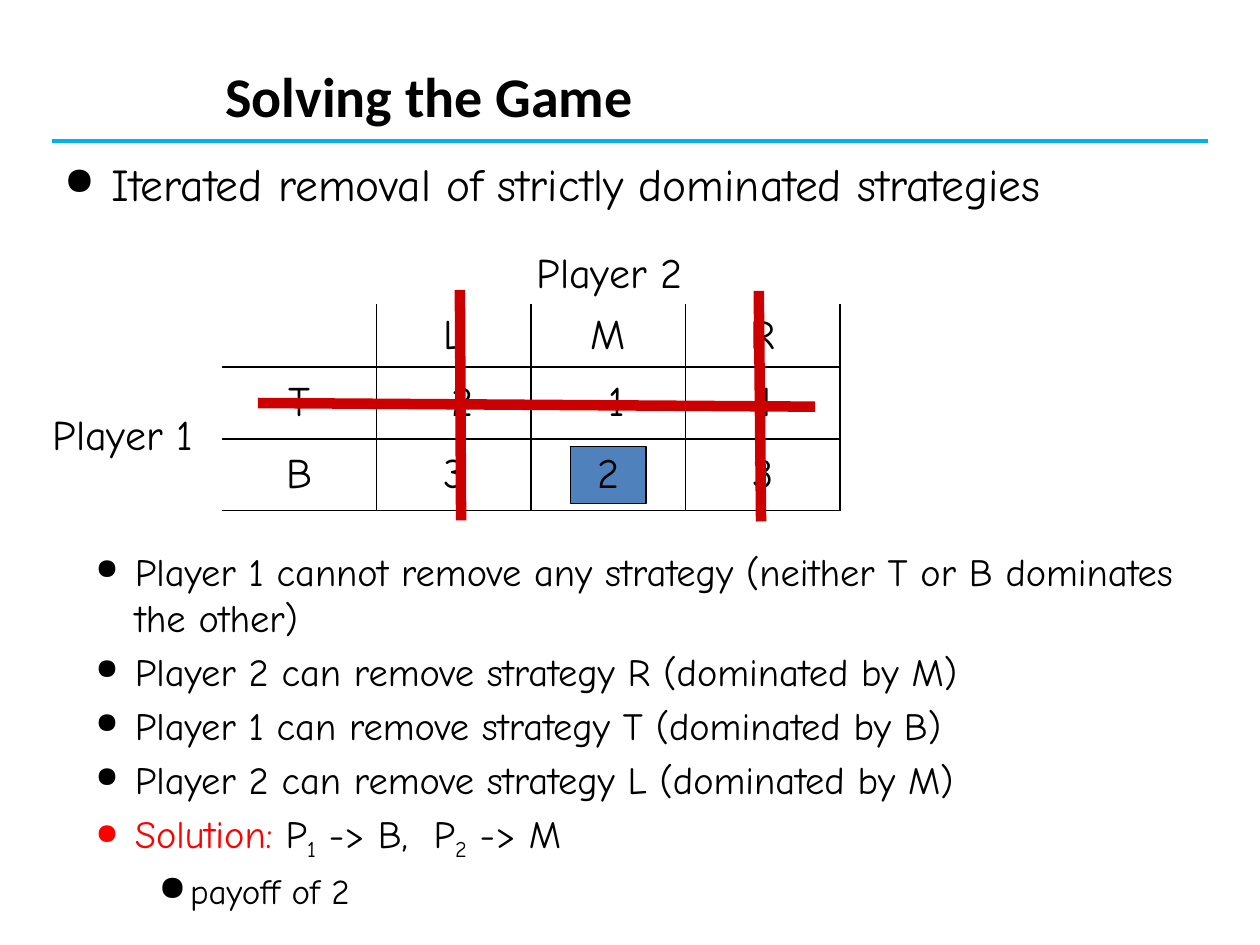
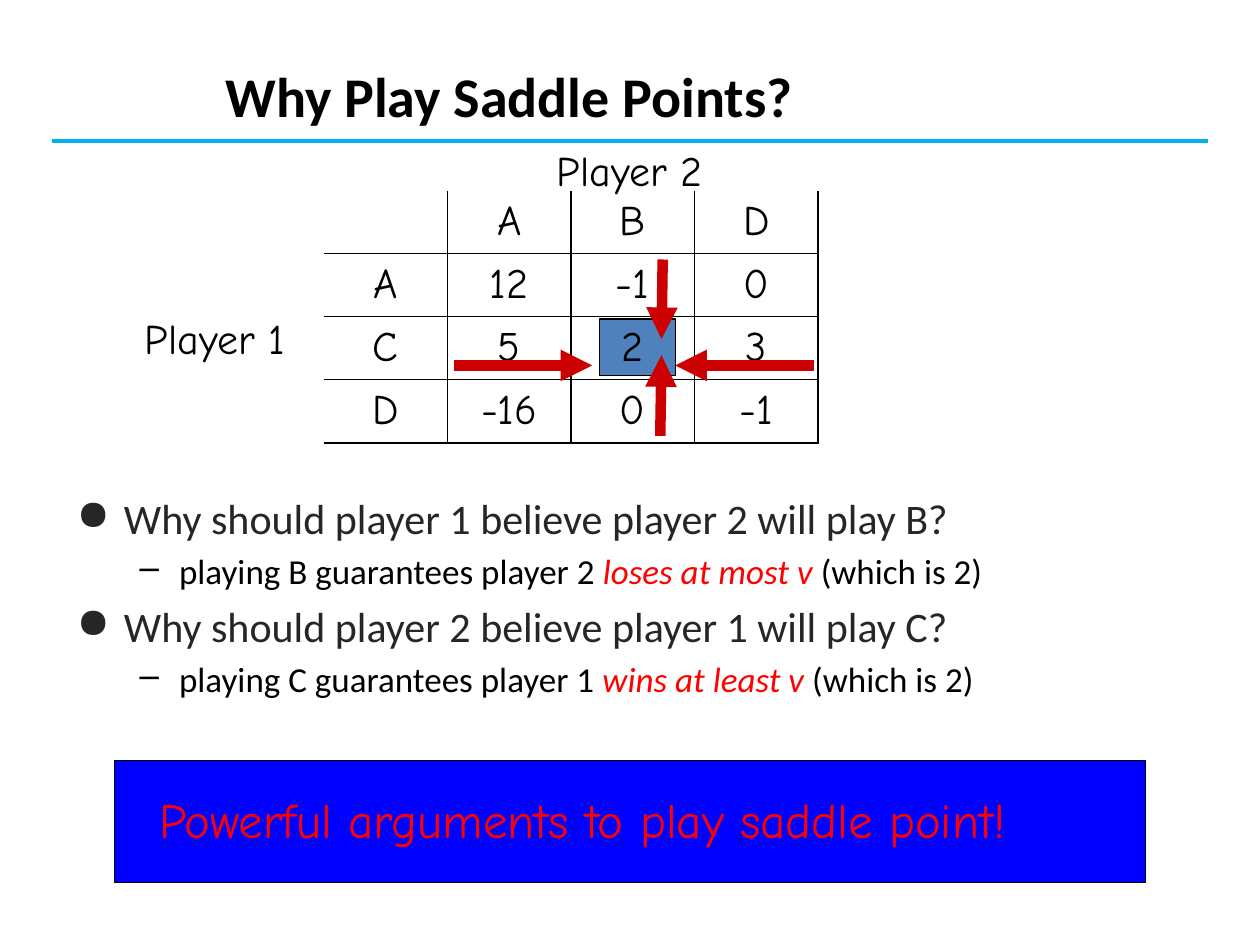
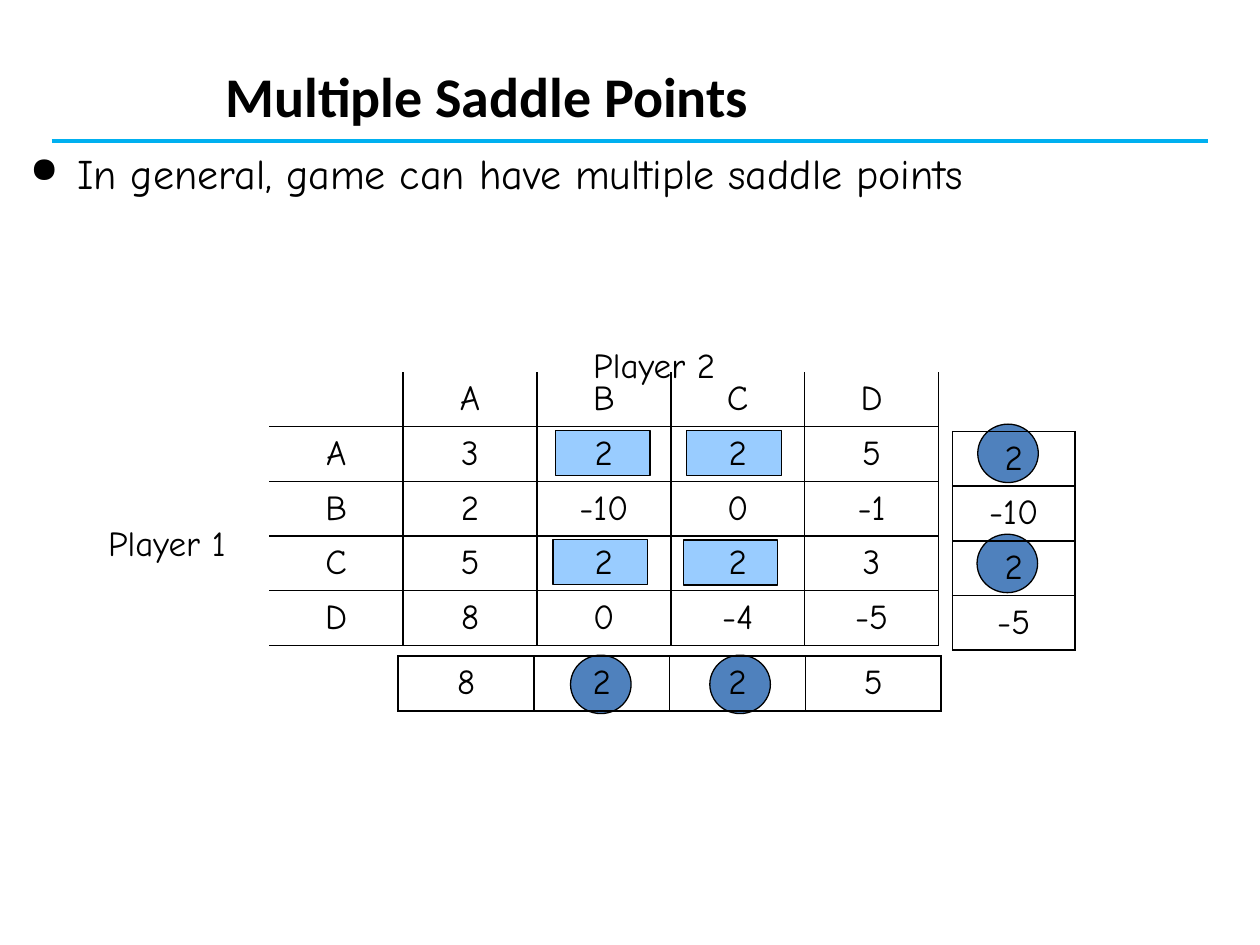
import pptx
import pptx.dml.color
import pptx.enum.dml
import pptx.enum.shapes
import pptx.enum.text
import pptx.oxml
import pptx.oxml.ns
import pptx.util

Pt = pptx.util.Pt
RGBColor = pptx.dml.color.RGBColor
SHAPES = pptx.enum.shapes.MSO_SHAPE
qn = pptx.oxml.ns.qn

# Shared look
BLACK = RGBColor(0x00, 0x00, 0x00)
CHARCOAL = RGBColor(0x26, 0x26, 0x26)
RED = RGBColor(0xFF, 0x00, 0x00)
STRIKE_RED = RGBColor(0xCC, 0x00, 0x00)
RULE_BLUE = RGBColor(0x00, 0xB0, 0xF0)
STEEL_BLUE = RGBColor(0x4F, 0x81, 0xBD)
PALE_BLUE = RGBColor(0x99, 0xCC, 0xFF)
BANNER_BLUE = RGBColor(0x00, 0x00, 0xFF)
TITLE_FONT = "Calibri"
HAND_FONT = "Comic Neue"

# Left margin and first-line indent of each list level
INDENTS = [(27, -27), (58.5, -22.5), (90, -18)]


def add_element(parent, tag, **attributes):
    element = parent.makeelement(qn(tag), attributes)
    parent.append(element)
    return element


def add_run(paragraph, text, size, font=HAND_FONT, color=BLACK,
            bold=False, italic=False, subscript=False):
    run = paragraph.add_run()
    run.text = text
    run.font.size = Pt(size)
    run.font.name = font
    run.font.bold = bold
    run.font.italic = italic
    run.font.color.rgb = color
    if subscript:
        run._r.get_or_add_rPr().set("baseline", "-25000")


def add_text_box(shapes, left, top, width, height, wrap=True):
    text_frame = shapes.add_textbox(Pt(left), Pt(top), Pt(width), Pt(height)).text_frame
    text_frame.word_wrap = wrap
    if not wrap:
        text_frame.auto_size = pptx.enum.text.MSO_AUTO_SIZE.SHAPE_TO_FIT_TEXT
    return text_frame


def add_item(text_frame, runs, size, level=0, bullet="●", bullet_percent=100,
             font=HAND_FONT, color=BLACK):
    """Add a list item; each run is a text or a (text, format) pair."""
    paragraph = text_frame.paragraphs[0]
    if paragraph.runs:
        paragraph = text_frame.add_paragraph()
        paragraph.space_before = Pt(size * 0.2)
    paragraph.level = level
    margin, indent = INDENTS[level]
    properties = paragraph._p.get_or_add_pPr()
    properties.set("marL", str(Pt(margin)))
    properties.set("indent", str(Pt(indent)))
    if bullet:
        add_element(properties, "a:buSzPct", val=str(bullet_percent * 1000))
        add_element(properties, "a:buChar", char=bullet)
    else:
        add_element(properties, "a:buNone")
    for run in runs:
        text, changes = (run, {}) if isinstance(run, str) else run
        add_run(paragraph, text, size, **{"font": font, "color": color, **changes})


def add_label(slide, text, left, top, width, height, size=24):
    text_frame = add_text_box(slide.shapes, left, top, width, height, wrap=False)
    add_run(text_frame.paragraphs[0], text, size)


def add_line(slide, start, end, color=STRIKE_RED, width=6, arrow=False):
    connector = slide.shapes.add_connector(
        pptx.enum.shapes.MSO_CONNECTOR.STRAIGHT, *map(Pt, start + end))
    connector.line.color.rgb = color
    connector.line.width = Pt(width)
    if arrow:
        add_element(connector.line._get_or_add_ln(), "a:tailEnd", type="triangle")
    add_element(connector._element.spPr, "a:effectLst")


def add_block(shapes, kind, left, top, width, height, fill):
    shape = shapes.add_shape(kind, Pt(left), Pt(top), Pt(width), Pt(height))
    shape.shadow.inherit = False
    shape.fill.solid()
    shape.fill.fore_color.rgb = fill
    shape.line.color.rgb = BLACK
    shape.line.width = Pt(0.75)


def set_borders(cell, hidden_sides):
    properties = cell._tc.get_or_add_tcPr()
    for position, side in enumerate("LRTB"):
        line = properties.makeelement(qn(f"a:ln{side}"), {"w": str(Pt(1))})
        properties.insert(position, line)
        if side in hidden_sides:
            add_element(line, "a:noFill")
        else:
            fill = add_element(line, "a:solidFill")
            add_element(fill, "a:srgbClr", val=str(BLACK))


def add_grid(slide, rows, left, top, column_width, row_heights, size, headed=True):
    """Add a payoff table; a headed one is open above and to the left."""
    column_count = len(rows[0])
    table = slide.shapes.add_table(
        len(rows), column_count, Pt(left), Pt(top),
        Pt(column_width * column_count), Pt(sum(row_heights))).table
    table.first_row = table.horz_banding = False
    for column in table.columns:
        column.width = Pt(column_width)
    for row_index, (values, height) in enumerate(zip(rows, row_heights)):
        table.rows[row_index].height = Pt(height)
        for column_index, value in enumerate(values):
            cell = table.cell(row_index, column_index)
            cell.fill.background()
            cell.vertical_anchor = pptx.enum.text.MSO_ANCHOR.MIDDLE
            hidden = ("T" if row_index == 0 else "") + ("L" if column_index == 0 else "")
            set_borders(cell, hidden if headed else "")
            paragraph = cell.text_frame.paragraphs[0]
            paragraph.alignment = pptx.enum.text.PP_ALIGN.CENTER
            if value:
                add_run(paragraph, value, size)


def new_slide(presentation, title):
    slide = presentation.slides.add_slide(presentation.slide_layouts[6])
    add_line(slide, (29.5, 80.6), (690.5, 80.6), RULE_BLUE, 2.25)
    text_frame = add_text_box(slide.shapes, 121.7, 31.7, 561.6, 42.5)
    add_run(text_frame.paragraphs[0], title, 32, font=TITLE_FONT, bold=True)
    return slide


def build_solving(presentation):
    slide = new_slide(presentation, "Solving the Game")

    # Payoff table with the solution marked
    add_block(slide.shapes, SHAPES.RECTANGLE, 326, 255.3, 43.2, 32.4, STEEL_BLUE)
    add_grid(slide, [["", "L", "M", "R"], ["T", "-2", "-1", "4"], ["B", "3", "2", "3"]],
             126.8, 173.7, 88.3, [34.8, 41, 41], 24)
    add_label(slide, "Player 1", 23, 229.7, 100.8, 36)
    add_label(slide, "Player 2", 299.5, 137.5, 104.4, 36)

    # Reasoning
    heading = add_text_box(slide.shapes, 29.5, 85.7, 677.5, 70.6)
    add_item(heading, ["Iterated removal of strictly dominated strategies"], 26,
             bullet_percent=85)
    steps = add_text_box(slide.shapes, 11.5, 309.6, 677.5, 214)
    solution = [("Solution:", {"color": RED}), " P", ("1", {"subscript": True}),
                " -> B,  P", ("2", {"subscript": True}), " -> M"]
    for runs in (
            ["Player 1 cannot remove any strategy (neither T or B dominates the other)"],
            ["Player 2 can remove strategy R (dominated by M)"],
            ["Player 1 can remove strategy T (dominated by B)"],
            ["Player 2 can remove strategy L (dominated by M)"],
            solution):
        add_item(steps, runs, 22, level=1, bullet_percent=75)
    add_item(steps, ["payoff of 2"], 20, level=2)

    # Removed strategies R, T and L
    add_line(slide, (434.9, 298), (433.6, 166.2))
    add_line(slide, (465.8, 232.4), (147.4, 230.3))
    add_line(slide, (263.5, 297.4), (262.8, 165.6))


def build_saddle_reasons(presentation):
    slide = new_slide(presentation, "Why Play Saddle Points?")

    # Questions and answers
    questions = add_text_box(slide.shapes, 36.7, 277.9, 644.4, 150)
    for question, answer, outcome in (
            ("Why should player 1 believe player 2 will play B?",
             "playing B guarantees player 2 ", "loses at most v"),
            ("Why should player 2 believe player 1 will play C?",
             "playing C guarantees player 1 ", "wins at least v")):
        add_item(questions, [question], 24, font=TITLE_FONT, color=CHARCOAL)
        add_item(questions,
                 [answer, (outcome, {"color": RED, "italic": True}), " (which is 2)"],
                 20, level=1, bullet="–", font=TITLE_FONT)

    # Payoff table with arrows towards the saddle point
    add_block(slide.shapes, SHAPES.RECTANGLE, 342.7, 182.2, 43.2, 32.4, STEEL_BLUE)
    add_grid(slide, [["", "A", "B", "D"], ["A", "12", "-1", "0"],
                     ["C", "5", "2", "3"], ["D", "-16", "0", "-1"]],
             185.1, 108.9, 70.6, [34.8] * 4, 24)
    add_label(slide, "Player 1", 75.6, 175, 100.8, 36)
    add_label(slide, "Player 2", 311, 79.2, 104.4, 36)
    for start, end in (((378.7, 148.3), (378, 193.7)), ((377.3, 249.1), (378, 203)),
                       ((259.2, 208.8), (338.4, 208.8)), ((465.1, 208.8), (385.9, 208.8))):
        add_line(slide, start, end, arrow=True)

    # Conclusion banner
    banner = slide.shapes.add_group_shape().shapes
    add_block(banner, SHAPES.RECTANGLE, 65.5, 434.4, 589, 69.8, BANNER_BLUE)
    conclusion = add_text_box(banner, 84.2, 447.8, 556.6, 38.9)
    add_item(conclusion, ["Powerful arguments to play saddle point!"], 28,
             bullet=None, color=RED)


def build_multiple_points(presentation):
    slide = new_slide(presentation, "Multiple Saddle Points")

    # Marks behind the saddle points and the matching totals
    for left, top in ((317.5, 246.2), (392.4, 246.2), (316, 308.4), (390.5, 308.6)):
        add_block(slide.shapes, SHAPES.RECTANGLE, left, top, 54, 25.7, PALE_BLUE)
    for left, top in ((326, 374.4), (405.6, 374.4), (558.7, 242.4), (558.3, 305.3)):
        add_block(slide.shapes, SHAPES.OVAL, left, top, 34.6, 33.4, STEEL_BLUE)

    # Row minima, payoffs and column maxima
    add_grid(slide, [["2"], ["-10"], ["2"], ["-5"]], 544.4, 246.6, 69.8,
             [30.2] * 4, 20, headed=False)
    add_grid(slide, [["", "A", "B", "C", "D"], ["A", "3", "2", "2", "5"],
                     ["B", "2", "-10", "0", "-1"], ["C", "5", "2", "2", "3"],
                     ["D", "8", "0", "-4", "-5"]],
             153.9, 212.6, 76.5, [30.2] * 5, 20)
    add_label(slide, "Player 1", 54.7, 294.5, 86.4, 31, 20)
    add_label(slide, "Player 2", 331.9, 193, 90, 31, 20)
    add_grid(slide, [["8", "2", "2", "5"]], 227.5, 374.9, 77.6, [31], 20, headed=False)

    heading = add_text_box(slide.shapes, 10.1, 80.6, 638.6, 36)
    add_item(heading, ["In general, game can have multiple saddle points"], 24,
             bullet_percent=85)


def main():
    presentation = pptx.Presentation()
    presentation.slide_width = Pt(720)
    presentation.slide_height = Pt(540)
    build_solving(presentation)
    build_saddle_reasons(presentation)
    build_multiple_points(presentation)
    presentation.save("out.pptx")


if __name__ == "__main__":
    main()
